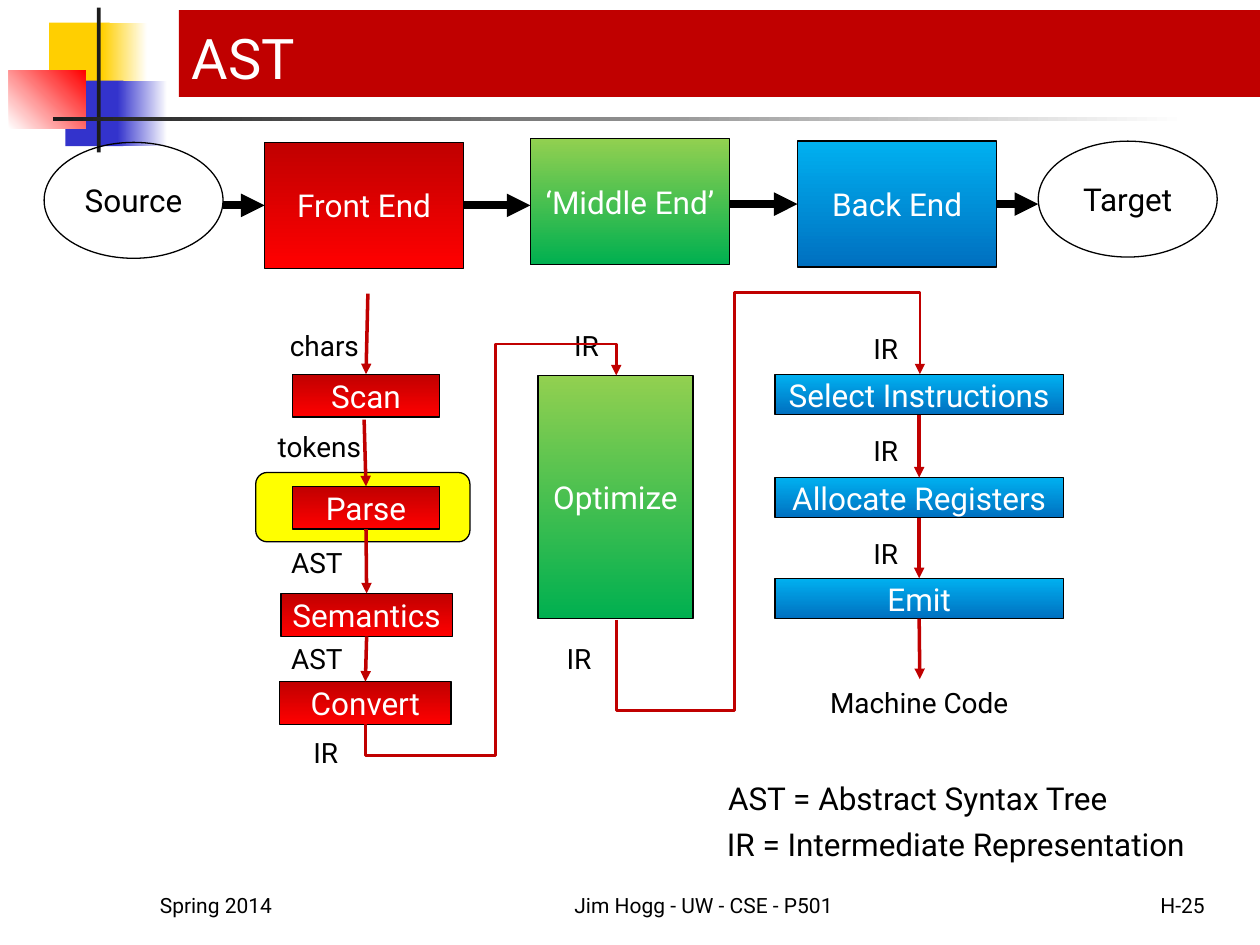
from lxml import etree
from pptx import Presentation, util as u
from pptx.dml.color import RGBColor
from pptx.enum import shapes, text
from pptx.oxml.ns import qn

FONT = "Roboto"
BLACK, WHITE, CRIMSON = "000000", "FFFFFF", "C00000"
RED, GREEN, BLUE = ("C00000", "FF0000"), ("92D050", "00B050"), ("00B0F0", "0070C0")
SHAPE, ALIGN, ANCHOR = shapes.MSO_SHAPE, text.PP_ALIGN, text.MSO_ANCHOR
TOP, LEFT, BOTTOM, RIGHT = range(4)


def rgb(color):
    return RGBColor.from_string(color)


def inches(*values):
    return [u.Inches(v) for v in values]


def set_fill(sp, fill, angle=270):
    """A hex string gives a solid fill, a pair a gradient, None no fill."""
    if fill is None:
        sp.fill.background()
    elif isinstance(fill, str):
        sp.fill.solid()
        sp.fill.fore_color.rgb = rgb(fill)
    else:
        sp.fill.gradient()
        sp.fill.gradient_angle = angle
        for stop, color in zip(sp.fill.gradient_stops, fill):
            stop.color.rgb = rgb(color)


def set_text(sp, words, size, color=BLACK, align=ALIGN.CENTER,
             anchor=ANCHOR.MIDDLE, wrap=False):
    tf = sp.text_frame
    tf.word_wrap = wrap
    tf.vertical_anchor = anchor
    p = tf.paragraphs[0]
    p.text = words
    p.alignment = align
    p.font.name = FONT
    p.font.size = u.Pt(size)
    p.font.color.rgb = rgb(color)


def add_box(s, at, fill, words=None, color=WHITE, kind=SHAPE.RECTANGLE,
            outlined=True, angle=270):
    sp = s.shapes.add_shape(kind, *inches(*at))
    sp.shadow.inherit = False
    set_fill(sp, fill, angle)
    if outlined:
        sp.line.color.rgb = rgb(BLACK)
        sp.line.width = u.Pt(0.75)
    else:
        sp.line.fill.background()
    if words:
        set_text(sp, words, 18, color)
    return sp


def add_label(s, at, words, size=16, align=ALIGN.CENTER, anchor=ANCHOR.TOP,
              wrap=True, grow=True):
    sp = s.shapes.add_textbox(*inches(*at))
    set_text(sp, words, size, BLACK, align, anchor, wrap)
    if grow:
        sp.text_frame.auto_size = text.MSO_AUTO_SIZE.SHAPE_TO_FIT_TEXT


def add_arrow(s, start, end, width=2, color=CRIMSON, begin_at=None, end_at=None,
              kind=shapes.MSO_CONNECTOR.STRAIGHT):
    """begin_at and end_at are (shape, side) pairs to join."""
    cx = s.shapes.add_connector(kind, *inches(*start, *end))
    cx.line.color.rgb = rgb(color)
    cx.line.width = u.Pt(width)
    etree.SubElement(cx.line._get_or_add_ln(), qn("a:tailEnd"), type="triangle")
    etree.SubElement(cx._element.spPr, qn("a:effectLst"))
    if begin_at:
        cx.begin_connect(*begin_at)
    if end_at:
        cx.end_connect(*end_at)
    return cx


def add_loop(s, start, end, low, mid, high):
    """Arrow that drops to low, crosses to mid, climbs to high and enters end."""
    (x0, y0), (x1, y1) = start, end
    w, h = y0 - y1, x1 - x0
    x, y = (x0 + x1) / 2, (y0 + y1) / 2
    cx = add_arrow(s, (x + w / 2, y + h / 2), (x - w / 2, y - h / 2), 1.5,
                   kind=shapes.MSO_CONNECTOR.ELBOW)
    spPr = cx._element.spPr
    spPr.find(qn("a:xfrm")).set("rot", "5400000")
    geom = spPr.find(qn("a:prstGeom"))
    geom.set("prst", "bentConnector5")
    guides = geom.find(qn("a:avLst"))
    for i, part in enumerate(((y0 - low) / w, (mid - x0) / h, (y0 - high) / w), 1):
        etree.SubElement(guides, qn("a:gd"), name=f"adj{i}",
                         fmla=f"val {round(part * 100000)}")


def add_decoration(s):
    for at, fill, angle in [
        ((0.39, 0.18, 0.48, 0.52), "FFCF01", 0),
        ((0.81, 0.18, 0.36, 0.52), ("FFCF01", WHITE), 0),
        ((0.52, 0.64, 0.46, 0.52), "3333CC", 0),
        ((0.93, 0.64, 0.4, 0.52), ("3333CC", WHITE), 0),
        ((0.07, 0.56, 0.61, 0.46), (WHITE, "FF0000"), 45),
        ((0.77, 0.06, 0.03, 1.15), "1C1C1C", 0),
        ((0.42, 0.93, 9, 0.03), ("1C1C1C", WHITE), 0),
    ]:
        add_box(s, at, fill, outlined=False, angle=angle)


def add_title(s, words):
    sp = s.shapes.title
    sp.left, sp.top, sp.width, sp.height = inches(1.42, 0.08, 8.58, 0.69)
    set_fill(sp, CRIMSON)
    set_text(sp, words, 32, WHITE, ALIGN.LEFT, ANCHOR.BOTTOM, True)
    sp.text_frame.auto_size = text.MSO_AUTO_SIZE.NONE


def add_pipeline(s):
    for x, y, words in [(0.35, 1.13, "Source"), (8.24, 1.12, "Target")]:
        add_box(s, (x, y, 1.42, 0.92), None, words, BLACK, SHAPE.OVAL)
    front, middle, back = [
        add_box(s, (x, y, 1.58, 1), fill, words)
        for x, y, fill, words in [(2.1, 1.13, RED, "Front End"),
                                  (4.21, 1.1, GREEN, "‘Middle End’"),
                                  (6.33, 1.12, BLUE, "Back End")]]
    for x0, x1, y, begin_at, end_at in [
        (1.77, 2.1, 1.63, None, (front, LEFT)),
        (3.68, 4.21, 1.63, (front, RIGHT), None),
        (5.79, 6.33, 1.62, None, (back, LEFT)),
        (7.91, 8.24, 1.62, (back, RIGHT), None),
    ]:
        add_arrow(s, (x0, y), (x1, y), 4.5, BLACK, begin_at, end_at)


def add_front_end(s):
    add_box(s, (2.03, 3.75, 1.7, 0.55), "FFFF00", kind=SHAPE.ROUNDED_RECTANGLE)
    scan, parse_box, semantics, convert = [
        add_box(s, (x, y, w, 0.34), RED, words)
        for x, y, w, words in [(2.32, 2.97, 1.17, "Scan"), (2.32, 3.86, 1.17, "Parse"),
                               (2.23, 4.71, 1.36, "Semantics"),
                               (2.22, 5.41, 1.36, "Convert")]]
    for x, y, words in [(1.99, 2.56, "chars"), (1.95, 3.36, "tokens"),
                        (1.93, 4.28, "AST"), (1.93, 5.04, "AST"), (2, 5.79, "IR")]:
        add_label(s, (x, y, 1.17, 0.37), words)
    add_arrow(s, (2.92, 2.33), (2.9, 2.97), end_at=(scan, TOP))
    add_arrow(s, (2.89, 3.33), (2.9, 3.86), end_at=(parse_box, TOP))
    for upper, lower in [(parse_box, semantics), (semantics, convert)]:
        add_arrow(s, (2.9, 4.2), (2.9, 4.71), begin_at=(upper, BOTTOM),
                  end_at=(lower, TOP))


def add_middle_end(s):
    add_box(s, (4.27, 2.98, 1.23, 1.93), GREEN, "Optimize")
    add_label(s, (4.18, 2.56, 0.95, 0.37), "IR")
    add_label(s, (3.98, 5.04, 1.23, 0.37), "IR")
    add_loop(s, (2.9, 5.75), (4.89, 2.98), low=6, mid=3.93, high=2.73)
    add_loop(s, (4.89, 4.92), (7.3, 2.97), low=5.64, mid=5.83, high=2.32)


def add_back_end(s):
    select, allocate, emit = [
        add_box(s, (6.15, y, 2.29, 0.32), BLUE, words)
        for y, words in [(2.97, "Select Instructions"), (3.79, "Allocate Registers"),
                         (4.59, "Emit")]]
    for y in (2.58, 3.39, 4.21):
        add_label(s, (6.15, y, 1.76, 0.37), "IR")
    add_label(s, (6.15, 5.39, 2.29, 0.37), "Machine Code")
    for upper, lower in [(select, allocate), (allocate, emit)]:
        add_arrow(s, (7.3, 3.3), (7.3, 3.79), begin_at=(upper, BOTTOM),
                  end_at=(lower, TOP))
    add_arrow(s, (7.3, 4.91), (7.3, 5.39), begin_at=(emit, BOTTOM))


def add_notes_and_footer(s):
    # Legend
    add_label(s, (5.68, 6.13, 3.27, 0.4), "AST = Abstract Syntax Tree", 18,
              ALIGN.LEFT, wrap=False)
    add_label(s, (5.67, 6.5, 3.98, 0.4), "IR = Intermediate Representation", 18,
              ALIGN.LEFT, wrap=False)
    # Footer
    for x, w, words, align in [(1.17, 2.08, "Spring 2014", ALIGN.LEFT),
                               (4, 3.17, "Jim Hogg - UW - CSE - P501", ALIGN.CENTER),
                               (7.58, 2.08, "H-25", ALIGN.RIGHT)]:
        add_label(s, (x, 6.83, w, 0.5), words, 12, align, ANCHOR.BOTTOM, grow=False)


def main():
    prs = Presentation()
    prs.slide_width, prs.slide_height = inches(10, 7.5)
    s = prs.slides.add_slide(prs.slide_layouts[5])
    add_decoration(s)
    add_title(s, "AST")
    add_pipeline(s)
    add_front_end(s)
    add_middle_end(s)
    add_back_end(s)
    add_notes_and_footer(s)
    prs.save("out.pptx")


if __name__ == "__main__":
    main()
